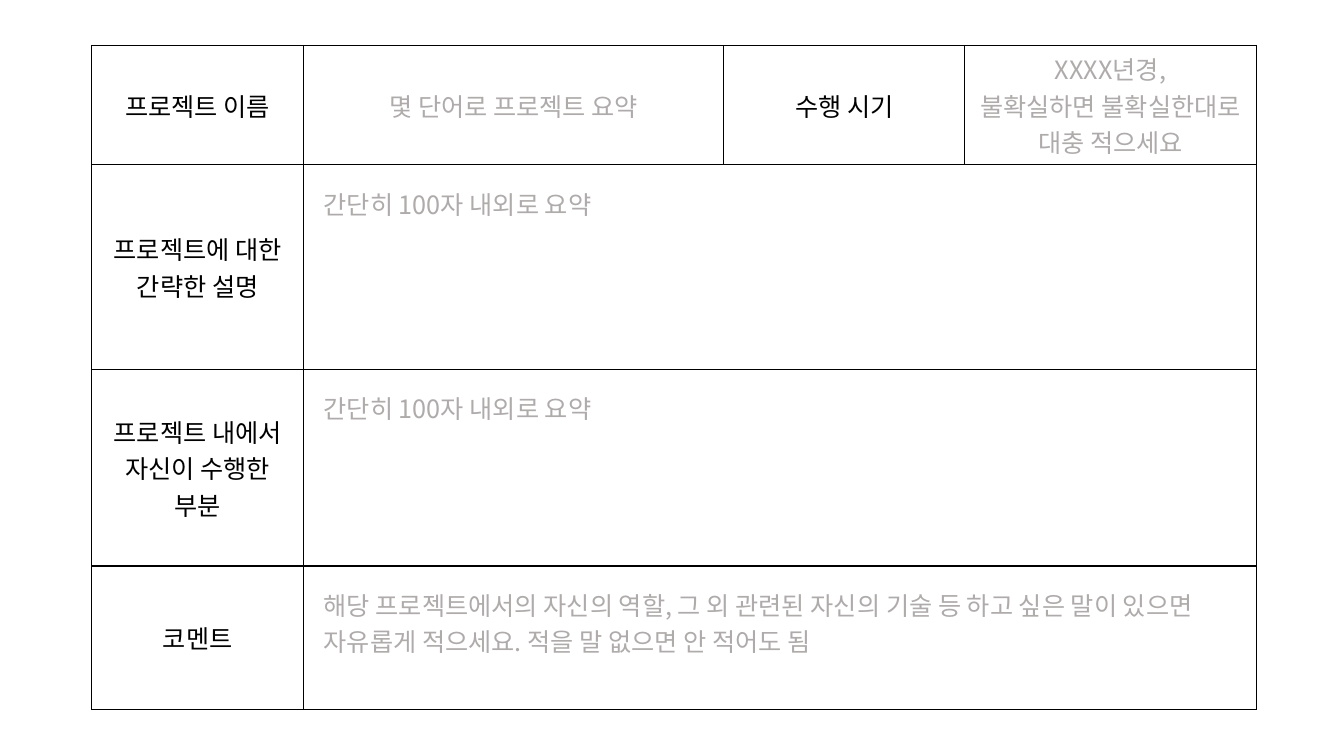
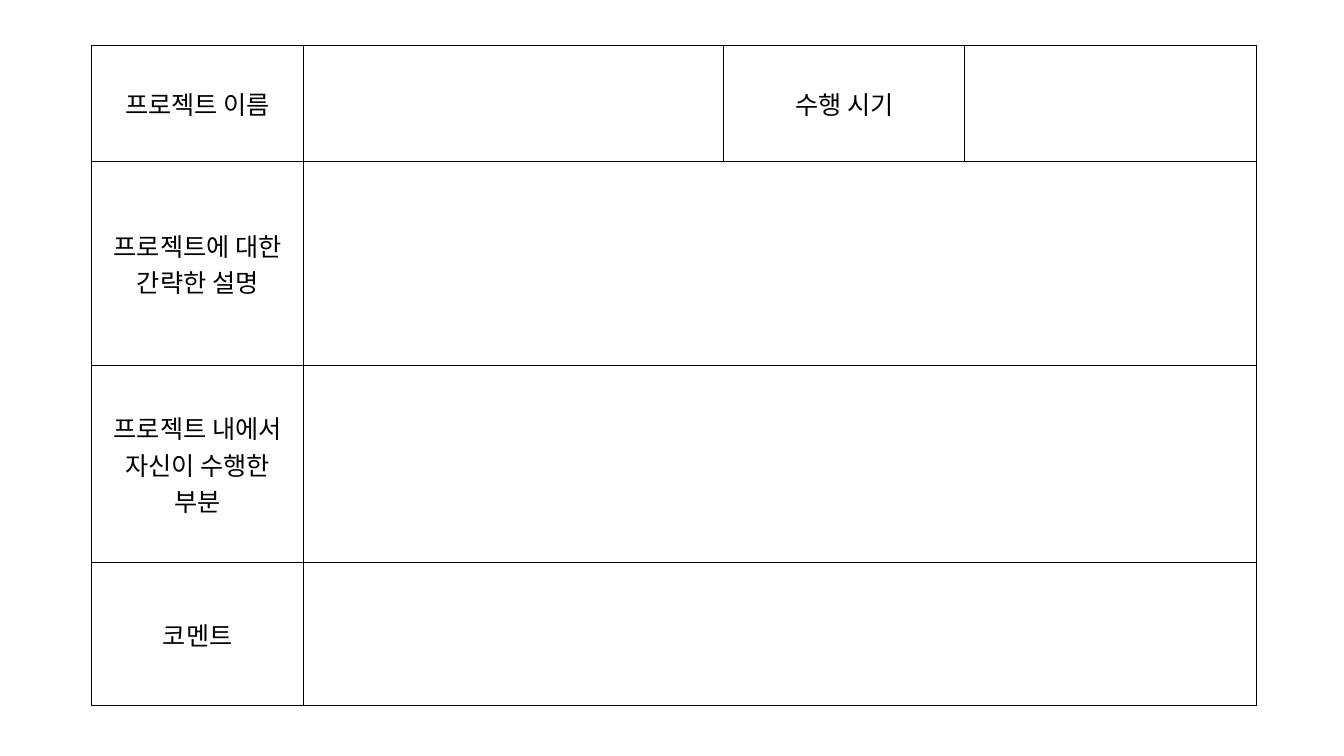
from dataclasses import dataclass

from lxml import etree
from pptx import Presentation
from pptx.dml.color import RGBColor
from pptx.enum.text import MSO_ANCHOR, PP_ALIGN
from pptx.oxml.ns import qn
from pptx.slide import Slide
from pptx.table import _Cell
from pptx.util import Inches, Pt

# Shared style
BLACK = RGBColor(0x00, 0x00, 0x00)
WHITE = RGBColor(0xFF, 0xFF, 0xFF)
HINT_GRAY = RGBColor(0xAF, 0xAB, 0xAB)
FONT = "Noto Sans CJK KR"
FONT_SIZE = Pt(18)
BORDER_WIDTH = Pt(1)
BODY_INSET = Inches(0.2)
CENTER, LEFT = PP_ALIGN.CENTER, PP_ALIGN.LEFT
MIDDLE, TOP = MSO_ANCHOR.MIDDLE, MSO_ANCHOR.TOP

# Form grid
FORM_LEFT, FORM_TOP = Inches(0.91), Inches(0.45)
COL_WIDTHS = [Inches(w) for w in (2.1, 4.17, 2.39, 2.89)]
ROW_HEIGHTS = [Inches(h) for h in (1.15, 2.03, 1.95, 1.42)]


@dataclass(frozen=True)
class Field:
    row: int
    col: int
    label: str
    hint: tuple[str, ...]

    @property
    def is_wide(self) -> bool:
        return self.row > 0


SUMMARY_HINT = ("간단히 100자 내외로 요약",)
FIELDS = (
    Field(0, 0, "프로젝트 이름", ("몇 단어로 프로젝트 요약",)),
    Field(0, 2, "수행 시기", ("XXXX년경,", "불확실하면 불확실한대로 대충 적으세요")),
    Field(1, 0, "프로젝트에 대한 간략한 설명", SUMMARY_HINT),
    Field(2, 0, "프로젝트 내에서 자신이 수행한 부분", SUMMARY_HINT),
    Field(3, 0, "코멘트", (
        "해당 프로젝트에서의 자신의 역할, 그 외 관련된 자신의 기술 등 하고 싶은 말이 "
        "있으면 자유롭게 적으세요. 적을 말 없으면 안 적어도 됨",)),
)


def style_cell(cell: _Cell) -> None:
    """White fill and a thin black border on all four sides."""
    cell.fill.solid()
    cell.fill.fore_color.rgb = WHITE
    tc_pr = cell._tc.get_or_add_tcPr()
    for i, side in enumerate(("lnL", "lnR", "lnT", "lnB")):
        ln = etree.Element(qn(f"a:{side}"), w=str(BORDER_WIDTH))
        fill = etree.SubElement(ln, qn("a:solidFill"))
        etree.SubElement(fill, qn("a:srgbClr"), val=str(BLACK))
        tc_pr.insert(i, ln)


def write_cell(cell: _Cell, lines: tuple[str, ...], color: RGBColor,
               align: PP_ALIGN = CENTER) -> None:
    tf = cell.text_frame
    for i, line in enumerate(lines):
        p = tf.paragraphs[0] if i == 0 else tf.add_paragraph()
        p.alignment = align
        r = p.add_run()
        r.text = line
        r.font.size = FONT_SIZE
        r.font.color.rgb = color
        r.font.name = FONT
        etree.SubElement(r.font._element, qn("a:ea"), typeface=FONT)


def add_form(slide: Slide, show_hints: bool) -> None:
    table = slide.shapes.add_table(
        len(ROW_HEIGHTS), len(COL_WIDTHS), FORM_LEFT, FORM_TOP,
        sum(COL_WIDTHS), sum(ROW_HEIGHTS)).table
    table.first_row = table.horz_banding = False
    for column, width in zip(table.columns, COL_WIDTHS):
        column.width = width
    for row, height in zip(table.rows, ROW_HEIGHTS):
        row.height = height
    for cell in table.iter_cells():
        style_cell(cell)

    for field in FIELDS:
        label = table.cell(field.row, field.col)
        label.vertical_anchor = MIDDLE
        write_cell(label, (field.label,), BLACK)

        answer = table.cell(field.row, field.col + 1)
        answer.vertical_anchor = TOP if field.is_wide else MIDDLE
        if field.is_wide:
            answer.merge(table.cell(field.row, len(COL_WIDTHS) - 1))
            answer.margin_left = answer.margin_right = BODY_INSET
            answer.margin_top = answer.margin_bottom = BODY_INSET
        if show_hints:
            write_cell(answer, field.hint, HINT_GRAY,
                       LEFT if field.is_wide else CENTER)


prs = Presentation()
prs.slide_width, prs.slide_height = Inches(13.33), Inches(7.5)
blank = prs.slide_layouts[6]

# Slide 1: form with hints; slide 2: empty form
for show_hints in (True, False):
    add_form(prs.slides.add_slide(blank), show_hints)

prs.save("out.pptx")
